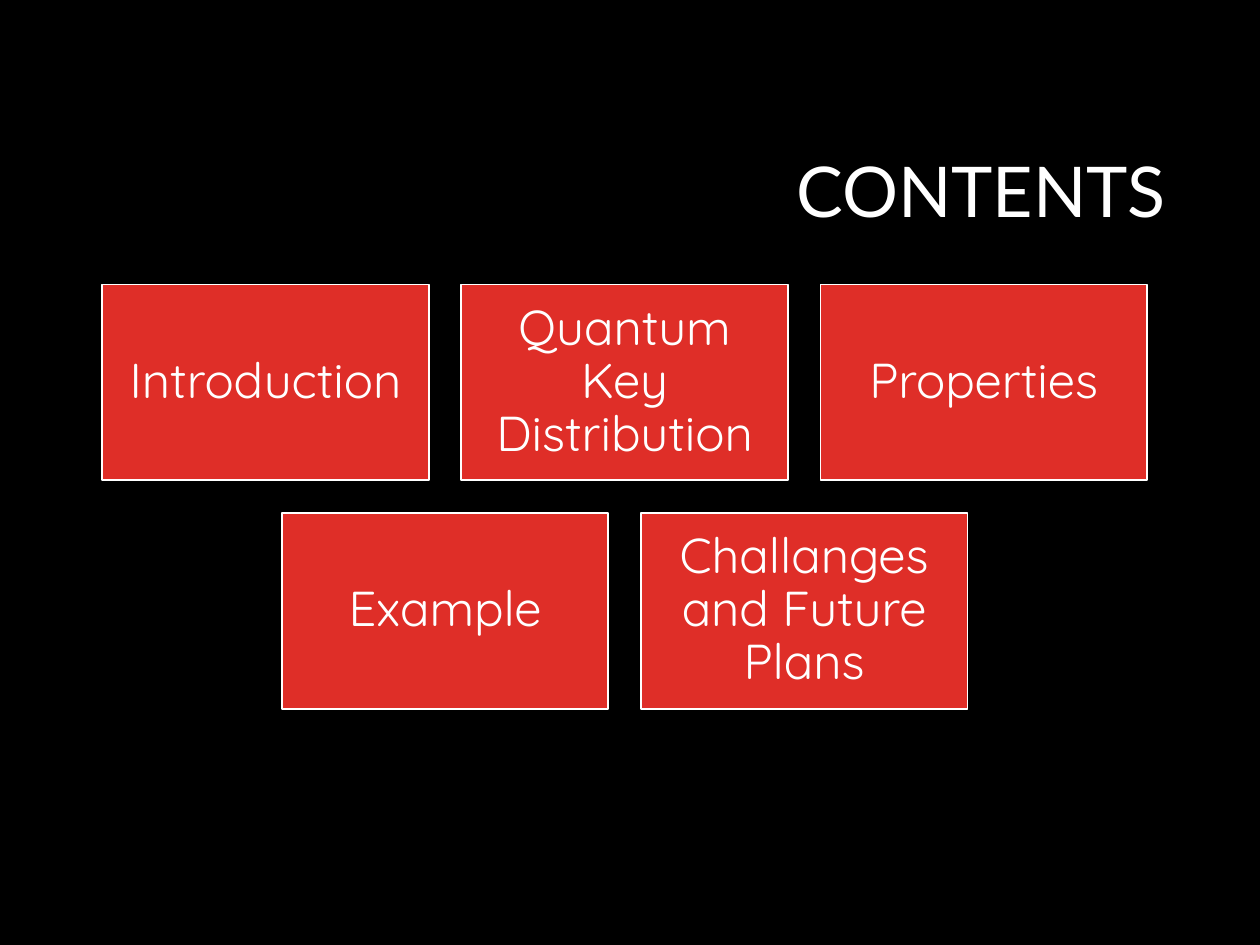
from dataclasses import dataclass

from pptx import Presentation
from pptx.dml.color import RGBColor
from pptx.enum.shapes import MSO_SHAPE
from pptx.enum.text import MSO_ANCHOR, PP_ALIGN
from pptx.util import Pt

RECTANGLE = MSO_SHAPE.RECTANGLE
MIDDLE = MSO_ANCHOR.MIDDLE
CENTER, RIGHT = PP_ALIGN.CENTER, PP_ALIGN.RIGHT


@dataclass(frozen=True)
class Theme:
    background: RGBColor = RGBColor(0x00, 0x00, 0x00)
    card: RGBColor = RGBColor(0xDF, 0x2E, 0x28)
    text: RGBColor = RGBColor(0xFF, 0xFF, 0xFF)
    title_font: str = "Lato"
    card_font: str = "Quicksand"
    title_size: float = 40
    card_size: float = 28
    line_spacing: float = 0.9
    card_margin: float = 8.4


class SlideBuilder:
    def __init__(self, slide, theme):
        self.slide = slide
        self.theme = theme
        fill = slide.background.fill
        fill.solid()
        fill.fore_color.rgb = theme.background

    def set_text(self, sp, text, font, size, align):
        tf = sp.text_frame
        tf.word_wrap = True
        tf.vertical_anchor = MIDDLE
        p = tf.paragraphs[0]
        p.text = text
        p.alignment = align
        p.line_spacing = self.theme.line_spacing
        p.font.name = font
        p.font.size = Pt(size)
        p.font.color.rgb = self.theme.text

    def title(self, text, left, top, width, height):
        sp = self.slide.shapes.add_textbox(Pt(left), Pt(top), Pt(width), Pt(height))
        self.set_text(sp, text, self.theme.title_font, self.theme.title_size, RIGHT)

    def card(self, text, left, top, width, height):
        sp = self.slide.shapes.add_shape(
            RECTANGLE, Pt(left), Pt(top), Pt(width), Pt(height))
        sp.shadow.inherit = False
        sp.fill.solid()
        sp.fill.fore_color.rgb = self.theme.card
        sp.line.color.rgb = self.theme.text
        sp.line.width = Pt(1)
        tf = sp.text_frame
        tf.margin_left = tf.margin_right = Pt(self.theme.card_margin)
        tf.margin_top = tf.margin_bottom = Pt(self.theme.card_margin)
        self.set_text(sp, text, self.theme.card_font, self.theme.card_size, CENTER)

    def card_rows(self, rows, center, top, width, height, gap):
        """Stack rows of equal cards, each row centred on the same axis."""
        for i, row in enumerate(rows):
            left = center - (len(row) * (width + gap) - gap) / 2
            for j, text in enumerate(row):
                self.card(text, left + j * (width + gap),
                          top + i * (height + gap), width, height)


def main():
    prs = Presentation()
    prs.slide_width, prs.slide_height = Pt(720), Pt(540)
    s = SlideBuilder(prs.slides.add_slide(prs.slide_layouts[6]), Theme())

    s.title("CONTENTS", 171.4, 60.5, 501.8, 101.5)
    topics = [
        ["Introduction", "Quantum Key Distribution", "Properties"],
        ["Example", "Challanges and Future Plans"],
    ]
    s.card_rows(topics, center=356.9, top=162.5, width=186.6, height=112, gap=18.6)

    prs.save("out.pptx")


if __name__ == "__main__":
    main()
